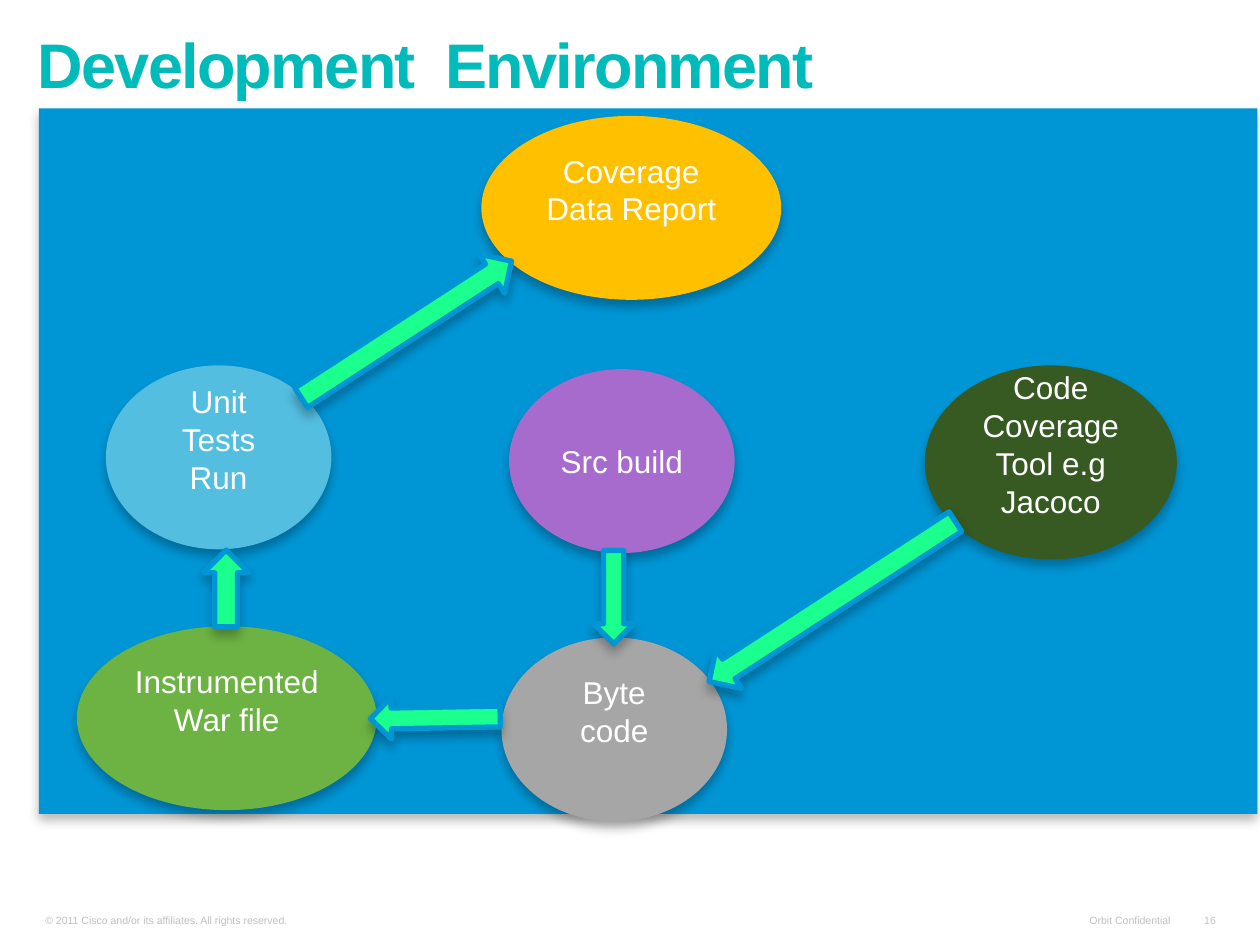
from lxml import etree
from pptx import Presentation
from pptx.dml.color import RGBColor
from pptx.enum import shapes, text
from pptx.oxml import parse_xml
from pptx.oxml.ns import nsdecls
from pptx.util import Inches, Pt

BLUE, TEAL, GREEN, WHITE, SILVER = "0096D6", "01BBBB", "1AFF8E", "FFFFFF", "C0C0C0"
LINE_HEIGHT = 0.29


def write(shape, content, size=18, color=WHITE, bold=False, align="CENTER", anchor="MIDDLE",
          wrap=True, insets=(0.1, 0.05, 0.1, 0.05), line_spacing=None, tracking=None):
    """Fill a shape with text, one paragraph per line of content."""
    frame = shape.text_frame
    frame.text = content
    frame.word_wrap = wrap
    frame.auto_size = text.MSO_AUTO_SIZE.NONE
    frame.vertical_anchor = getattr(text.MSO_ANCHOR, anchor)
    frame.margin_left, frame.margin_top, frame.margin_right, frame.margin_bottom = map(Inches, insets)
    for paragraph in frame.paragraphs:
        paragraph.alignment = getattr(text.PP_ALIGN, align)
        paragraph.line_spacing = line_spacing
        for run in paragraph.runs:
            run.font.name, run.font.size, run.font.bold = "Arial", Pt(size), bold
            run.font.color.rgb = RGBColor.from_string(color)
            if tracking is not None:
                run.font._element.set("spc", str(tracking * 100))


def add_block(kind, box, fill, rotation=0, line=None):
    """Add a filled preset shape with a soft shadow below it."""
    shape = slide.shapes.add_shape(kind, *map(Inches, box))
    shape.rotation = rotation
    shape.fill.solid()
    shape.fill.fore_color.rgb = RGBColor.from_string(fill)
    if line:
        shape.line.color.rgb = RGBColor.from_string(line)
        shape.line.width = Pt(3)
    else:
        shape.line.fill.background()
    shape.shadow.inherit = False
    effects = shape._element.spPr.find("{*}effectLst")
    effects.append(parse_xml(
        f'<a:outerShdw {nsdecls("a")} blurRad="{Pt(6)}" dist="{Pt(4)}" dir="5400000" rotWithShape="0">'
        '<a:srgbClr val="000000"><a:alpha val="27000"/></a:srgbClr></a:outerShdw>'))
    return shape


presentation = Presentation()
presentation.slide_width, presentation.slide_height = Inches(10), Inches(7.5)
slide = presentation.slides.add_slide(presentation.slide_layouts[5])

# Title
title = slide.shapes.title
title.left, title.top, title.width, title.height = map(Inches, (0.21, 0.27, 9.39, 0.72))
write(title, "Development  Environment", size=36, color=TEAL, bold=True, align="LEFT",
      anchor="TOP", insets=(0.09, 0.05, 0.09, 0.05), line_spacing=0.8, tracking=-1)

# Background panel
add_block(shapes.MSO_SHAPE.RECTANGLE, (0.31, 0.86, 9.67, 5.6), BLUE)

# Process steps; raised labels sit half a line above the centre
steps = [
    ("Src build", (4.04, 2.93, 1.79, 1.46), "A76BCE", False),
    ("Instrumented\nWar file", (0.61, 4.97, 2.38, 1.46), "6DB344", True),
    ("Unit Tests Run", (0.84, 2.9, 1.79, 1.46), "54BEE0", True),
    ("Code Coverage Tool e.g\nJacoco", (7.34, 2.9, 2, 1.54), "365A22", True),
    ("Byte code", (3.98, 5.06, 1.79, 1.46), "A6A6A6", True),
    ("Coverage Data Report", (3.82, 0.92, 2.38, 1.46), "FFC000", True),
]
for label, box, fill, raised in steps:
    ellipse = add_block(shapes.MSO_SHAPE.OVAL, box, fill)
    bottom = 0.05 + (LINE_HEIGHT if raised else 0)
    write(ellipse, label, insets=(0.1, 0.05, 0.1, bottom))

# Block arrows between the steps
arrows = [
    ((2.23, 2.43, 1.99, 0.37), 327),  # unit tests to report
    ((1.49, 4.49, 0.61, 0.36), 270),  # war file to unit tests
    ((2.94, 5.53, 1.03, 0.33), 179),  # byte code to war file
    ((4.5, 4.58, 0.74, 0.32), 90),    # source build to byte code
    ((5.44, 4.59, 2.33, 0.37), 147),  # coverage tool to byte code
]
for box, rotation in arrows:
    add_block(shapes.MSO_SHAPE.RIGHT_ARROW, box, GREEN, rotation, BLUE)

# Footer
footers = [
    ("© 2011 Cisco and/or its affiliates. All rights reserved.", 0.27, 3.74, "LEFT", True),
    ("Orbit Confidential", 8.49, 0.89, "RIGHT", False),
    ("16", 9.46, 0.28, "RIGHT", False),
]
for content, left, width, align, wrap in footers:
    footer = slide.shapes.add_textbox(Inches(left), Inches(7.2), Inches(width), Inches(0.19))
    write(footer, content, size=6, color=SILVER, align=align, anchor="BOTTOM", wrap=wrap,
          insets=(0.09, 0.04, 0.09, 0.04))

presentation.save("out.pptx")
